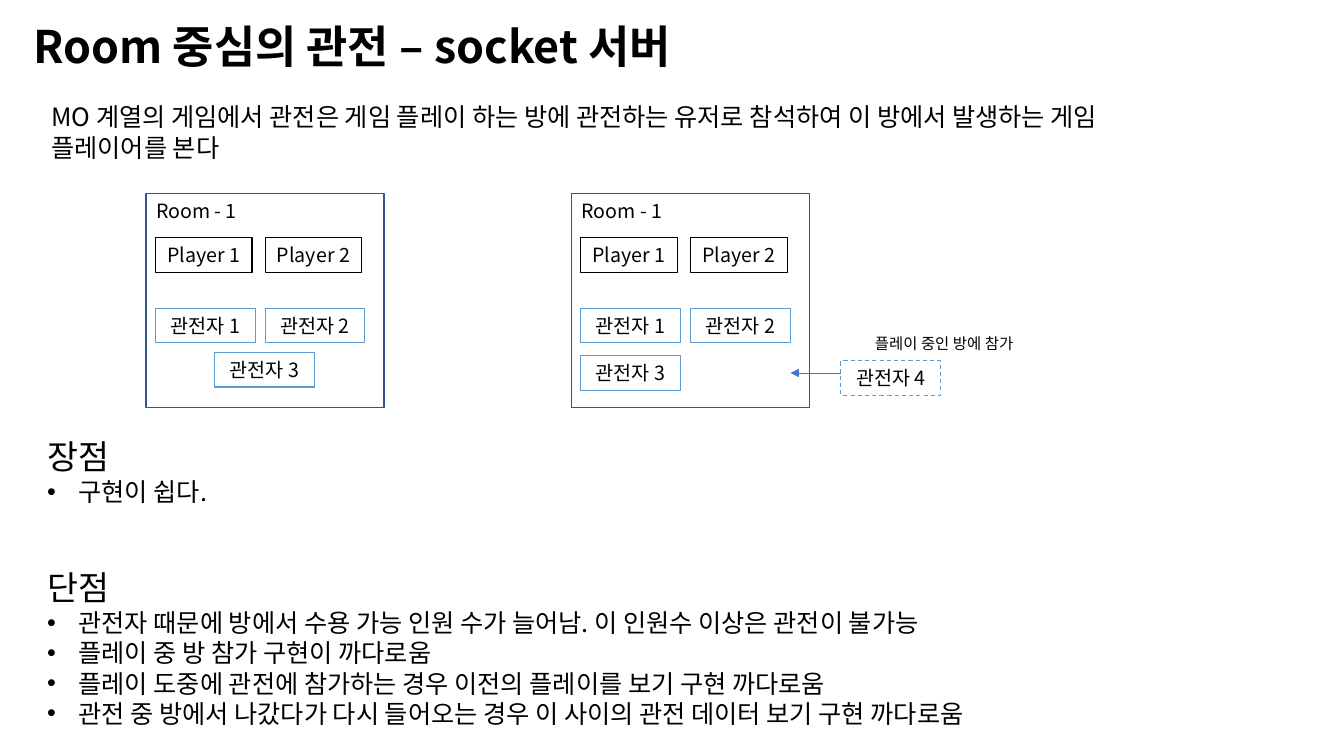
from lxml.etree import SubElement
from pptx import Presentation
from pptx.dml.color import RGBColor
from pptx.enum.dml import MSO_LINE_DASH_STYLE as Dash
from pptx.enum.shapes import MSO_CONNECTOR as Connector, MSO_SHAPE as Shape
from pptx.enum.text import MSO_ANCHOR as Anchor, PP_ALIGN as Align
from pptx.oxml.ns import qn
from pptx.util import Pt

PX = 9144
FONT = "Noto Sans CJK KR"
BLACK, NAVY, SKY, BLUE = "000000", "325491", "5B9BD5", "4472C4"
LABEL_HEIGHT, PLAYER_WIDTH, WATCHER_WIDTH = 34, 96, 99
DRAWBACKS = [
    "관전자 때문에 방에서 수용 가능 인원 수가 늘어남. 이 인원수 이상은 관전이 불가능",
    "플레이 중 방 참가 구현이 까다로움",
    "플레이 도중에 관전에 참가하는 경우 이전의 플레이를 보기 구현 까다로움",
    "관전 중 방에서 나갔다가 다시 들어오는 경우 이 사이의 관전 데이터 보기 구현 까다로움",
]


def px(*lengths):
    """Turn whole px lengths into EMU."""
    return [length * PX for length in lengths]


def color(value):
    """Turn a hex string into a colour."""
    return RGBColor.from_string(value)


def write(para, text, size=18, bold=False, align=Align.LEFT, bullet=False, before=0):
    """Write formatted text into a paragraph."""
    para.alignment = align
    para.space_before = Pt(before)
    span = para.add_run()
    span.text = text
    span.font.name, span.font.size, span.font.bold = FONT, Pt(size), bold
    span.font.color.rgb = color(BLACK)
    SubElement(span.font._element, qn("a:ea"), typeface=FONT)
    if bullet:
        properties = para._p.get_or_add_pPr()
        properties.set("marL", str(31 * PX))
        properties.set("indent", str(-31 * PX))
        SubElement(properties, qn("a:buFont"), typeface="Arial")
        SubElement(properties, qn("a:buChar"), char="•")


def add_text(shapes, left, top, width, height, text, wrap=True, **style):
    """Add a text box and return its frame."""
    frame = shapes.add_textbox(*px(left, top, width, height)).text_frame
    frame.word_wrap = wrap
    write(frame.paragraphs[0], text, **style)
    return frame


def add_frame(shapes, left, top, width, height, line, weight=0.75):
    """Add an unfilled rectangle with a coloured outline."""
    box = shapes.add_shape(Shape.RECTANGLE, *px(left, top, width, height))
    box.shadow.inherit = False
    box.fill.background()
    box.line.color.rgb = color(line)
    box.line.width = Pt(weight)
    return box


def add_label(shapes, left, top, width, text, line):
    """Add an outlined box with centred text."""
    box = add_frame(shapes, left, top, width, LABEL_HEIGHT, line)
    box.text_frame.word_wrap = False
    box.text_frame.vertical_anchor = Anchor.MIDDLE
    write(box.text_frame.paragraphs[0], text, size=14, align=Align.CENTER)
    return box


def add_room(page, left, third_left, third_top):
    """Add a grouped room with two players and three spectators."""
    shapes = page.shapes.add_group_shape().shapes
    add_frame(shapes, left, 192, 236, 212, NAVY, 1)
    add_text(shapes, left, 192, 104, 34, "Room - 1", wrap=False, size=14)
    for number in (1, 2):
        column = left + 9 + (number - 1) * 109
        add_label(shapes, column, 236, PLAYER_WIDTH, f"Player {number}", BLACK)
        add_label(shapes, column, 306, WATCHER_WIDTH, f"관전자 {number}", SKY)
    add_label(shapes, left + third_left, third_top, WATCHER_WIDTH, "관전자 3", SKY)


def add_arrow(shapes, start_x, start_y, end_x, end_y):
    """Add a thin arrow pointing at its end."""
    arrow = shapes.add_connector(Connector.STRAIGHT, *px(start_x, start_y, end_x, end_y))
    arrow.line.color.rgb = color(BLUE)
    arrow.line.width = Pt(0.5)
    SubElement(arrow.line._get_or_add_ln(), qn("a:tailEnd"), type="triangle")
    SubElement(arrow._element.spPr, qn("a:effectLst"))


def add_review(shapes):
    """Add the advantages and drawbacks."""
    frame = add_text(shapes, 37, 428, 1161, 303, "장점", size=24)
    write(frame.add_paragraph(), "구현이 쉽다.", bullet=True)
    write(frame.add_paragraph(), "단점", size=24, before=43)
    for drawback in DRAWBACKS:
        write(frame.add_paragraph(), drawback, bullet=True)


def main():
    """Build and save the slide."""
    deck = Presentation()
    deck.slide_width, deck.slide_height = px(1333, 750)
    page = deck.slides.add_slide(deck.slide_layouts[6])
    shapes = page.shapes
    add_text(shapes, 23, 14, 822, 64, "Room 중심의 관전 – socket 서버", size=32, bold=True)
    add_text(shapes, 41, 96, 1161, 71,
             "MO 계열의 게임에서 관전은 게임 플레이 하는 방에 관전하는 유저로 참석하여 "
             "이 방에서 발생하는 게임 플레이어를 본다")
    add_review(shapes)
    add_room(page, 145, 68, 350)
    add_room(page, 567, 9, 353)
    newcomer = add_label(shapes, 834, 358, WATCHER_WIDTH, "관전자 4", SKY)
    newcomer.line.dash_style = Dash.DASH
    add_arrow(shapes, 834, 370, 784, 370)
    add_text(shapes, 858, 327, 177, 29, "플레이 중인 방에 참가", wrap=False, size=11)
    deck.save("out.pptx")


if __name__ == "__main__":
    main()
